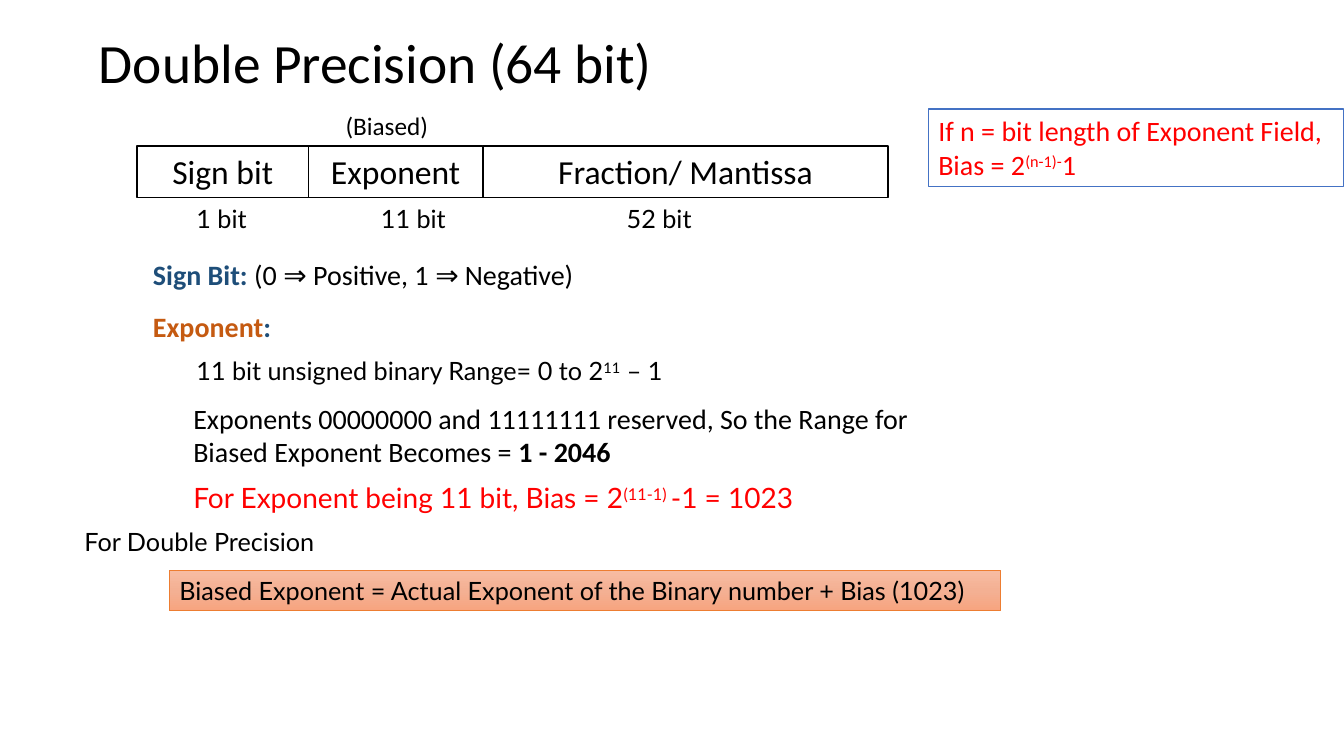
import copy

import pptx
import pptx.dml.color
import pptx.enum.shapes
import pptx.enum.text
import pptx.oxml.ns
import pptx.util

Pt = pptx.util.Pt
ALIGN = pptx.enum.text.PP_ALIGN
COLORS = {
    "black": "000000", "white": "FFFFFF", "red": "FF0000", "navy": "1E4E79",
    "rust": "C55A11", "blue": "4472C4", "orange": "ED7D31",
    "peach top": "F7BCA2", "peach middle": "F4B093", "peach bottom": "F7A47F",
}


def rgb(name):
    """Return the named colour."""
    return pptx.dml.color.RGBColor.from_string(COLORS[name])


def write(shape, paragraphs, size, font="Calibri", color="black", align=ALIGN.LEFT, spacing=None):
    """Fill a shape with paragraphs, each a list of (text, run options)."""
    frame = shape.text_frame
    frame.word_wrap = True
    for index, runs in enumerate(paragraphs):
        paragraph = frame.add_paragraph() if index else frame.paragraphs[0]
        paragraph.alignment = align
        paragraph.line_spacing = spacing
        paragraph.font.size = Pt(size)
        paragraph.font.name = font
        paragraph.font.color.rgb = rgb(color)
        for text, options in runs:
            run = paragraph.add_run()
            run.text = text
            if "bold" in options:
                run.font.bold = options["bold"]
            if "color" in options:
                run.font.color.rgb = rgb(options["color"])
            if "raised" in options:
                run.font._element.set("baseline", "30000")


def add_title(slide, text):
    """Place and format the slide title."""
    title = slide.shapes.title
    title.left, title.top, title.width, title.height = Pt(63.4), Pt(24.5), Pt(828), Pt(44.6)
    title.text_frame.vertical_anchor = pptx.enum.text.MSO_ANCHOR.MIDDLE
    write(title, [[(text, {})]], 39.6, spacing=0.9)


def add_label(slide, box, runs, size=18, font="Lato", **style):
    """Add a one-paragraph text box."""
    label = slide.shapes.add_textbox(*map(Pt, box))
    write(label, [runs], size, font, **style)


def add_box(slide, box, line, weight=1.0):
    """Add an outlined, unfilled rectangle with its text at the top."""
    rectangle = slide.shapes.add_shape(pptx.enum.shapes.MSO_SHAPE.RECTANGLE, *map(Pt, box))
    rectangle.shadow.inherit = False
    rectangle.fill.background()
    rectangle.line.color.rgb = rgb(line)
    rectangle.line.width = Pt(weight)
    rectangle.text_frame.vertical_anchor = pptx.enum.text.MSO_ANCHOR.TOP
    return rectangle


def fill_peach(shape):
    """Give a shape the vertical three-stop peach gradient."""
    shape.fill.gradient()
    shape.fill.gradient_angle = 270
    stop_list = shape._element.spPr.find(".//" + pptx.oxml.ns.qn("a:gsLst"))
    stop_list.insert(1, copy.deepcopy(stop_list[0]))
    names = ("peach top", "peach middle", "peach bottom")
    for stop, position, name in zip(shape.fill.gradient_stops, (0, 0.5, 1), names):
        stop.position = position
        stop.color.rgb = rgb(name)


def add_fields(slide):
    """Draw the number format as adjoining fields with bit counts below."""
    left = 97.9
    fields = (("Sign bit", 122.4, "1 bit", 133.2), ("Exponent", 124.6, "11 bit", 265),
              ("Fraction/ Mantissa", 289.4, "52 bit", 440.6))
    for name, width, bits, bits_left in fields:
        field = add_box(slide, (left, 104.4, width, 36.7), "black")
        write(field, [[(name, {})]], 24, align=ALIGN.CENTER)
        add_label(slide, (bits_left, 141.8, 69.1, 28.8), [(bits, {})])
        left += width
    add_label(slide, (239.8, 75.6, 74.2, 28.8), [("(Biased)", {})], font="Calibri")


def add_bias_rule(slide):
    """Add the general bias formula."""
    bias_rule = add_box(slide, (663.1, 77.8, 296.6, 55.4), "blue")
    bias_rule.fill.solid()
    bias_rule.fill.fore_color.rgb = rgb("white")
    write(bias_rule, [
        [("If n = bit length of Exponent Field,", {})],
        [("Bias = 2", {}), ("(n-1)-", {"raised": True}), ("1", {})],
    ], 20, color="red")


def add_explanation(slide):
    """Add the sign and exponent notes."""
    add_label(slide, (102.2, 185, 424, 26.6), [
        ("Sign Bit: ", {"bold": True, "color": "navy"}),
        ("(0 ⇒ Positive, 1 ⇒ Negative)", {}),
    ], 20, "Calibri", spacing=0.8)
    add_label(slide, (102.2, 222.5, 424, 26.6), [
        ("Exponent", {"bold": True, "color": "rust"}),
        (":", {"bold": True, "color": "navy"}),
    ], 20, "Calibri", spacing=0.8)
    add_label(slide, (133.2, 250.6, 459.4, 28.8), [
        ("11 bit unsigned binary Range= 0 to 2", {}), ("11", {"raised": True}), (" – 1", {}),
    ])
    add_label(slide, (131, 283, 537.8, 55.4), [
        ("Exponents 00000000 and 11111111 reserved, So the Range for Biased Exponent Becomes = ", {}),
        ("1 - 2046", {"bold": True}),
    ], 20, "Calibri")
    add_label(slide, (131, 339.8, 537.8, 31.7), [
        ("For Exponent being 11 bit, Bias = 2", {}), ("(11-1) ", {"raised": True}), ("-1 = 1023", {}),
    ], 20, color="red")


def add_conclusion(slide):
    """Add the highlighted biased exponent formula and its lead-in."""
    add_label(slide, (53.3, 372.2, 424, 28.8), [("For Double Precision", {})])
    formula = add_box(slide, (121, 407.5, 594, 28.8), "orange", 0.75)
    fill_peach(formula)
    write(formula, [[("Biased Exponent = Actual Exponent of the Binary number + Bias (1023)", {})]],
          18, "Lato")


def main():
    """Build the slide and save it."""
    presentation = pptx.Presentation()
    presentation.slide_width, presentation.slide_height = Pt(960), Pt(540)
    slide = presentation.slides.add_slide(presentation.slide_layouts[5])
    add_title(slide, "Double Precision (64 bit)")
    add_fields(slide)
    add_bias_rule(slide)
    add_explanation(slide)
    add_conclusion(slide)
    presentation.save("out.pptx")


if __name__ == "__main__":
    main()
